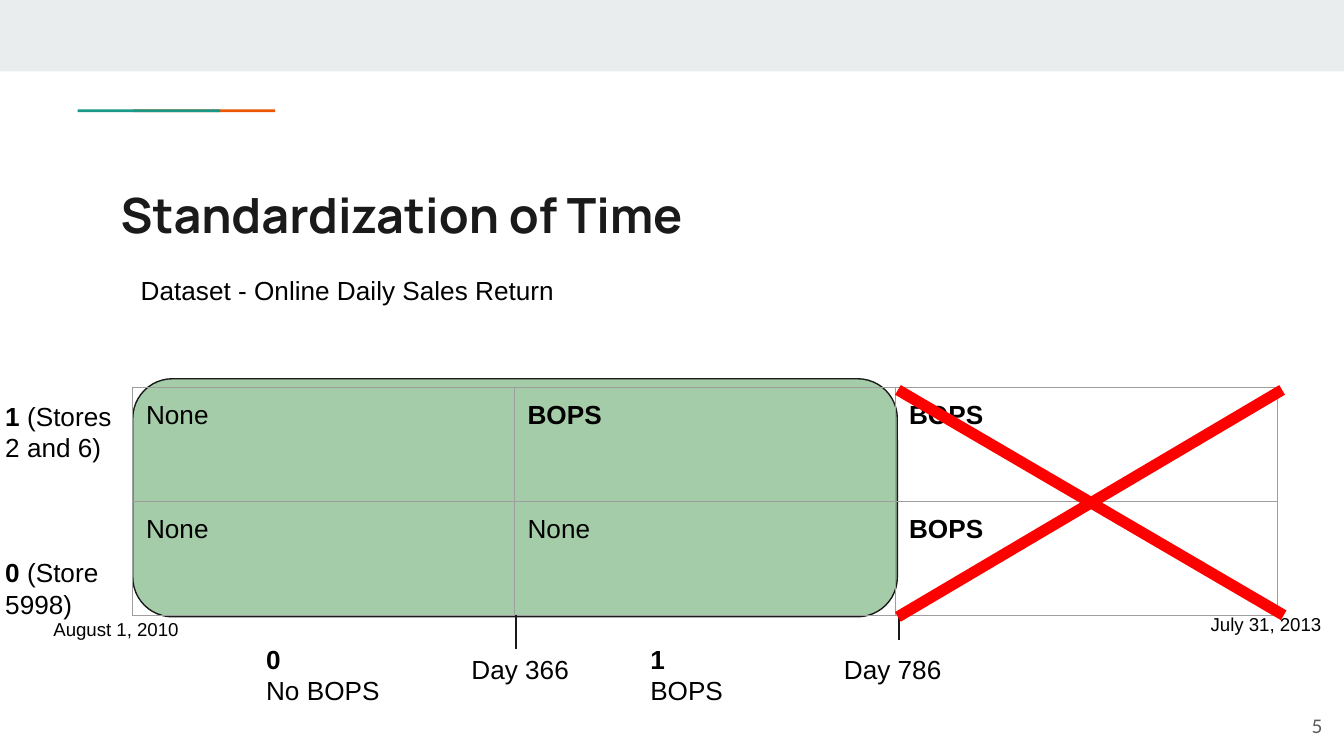
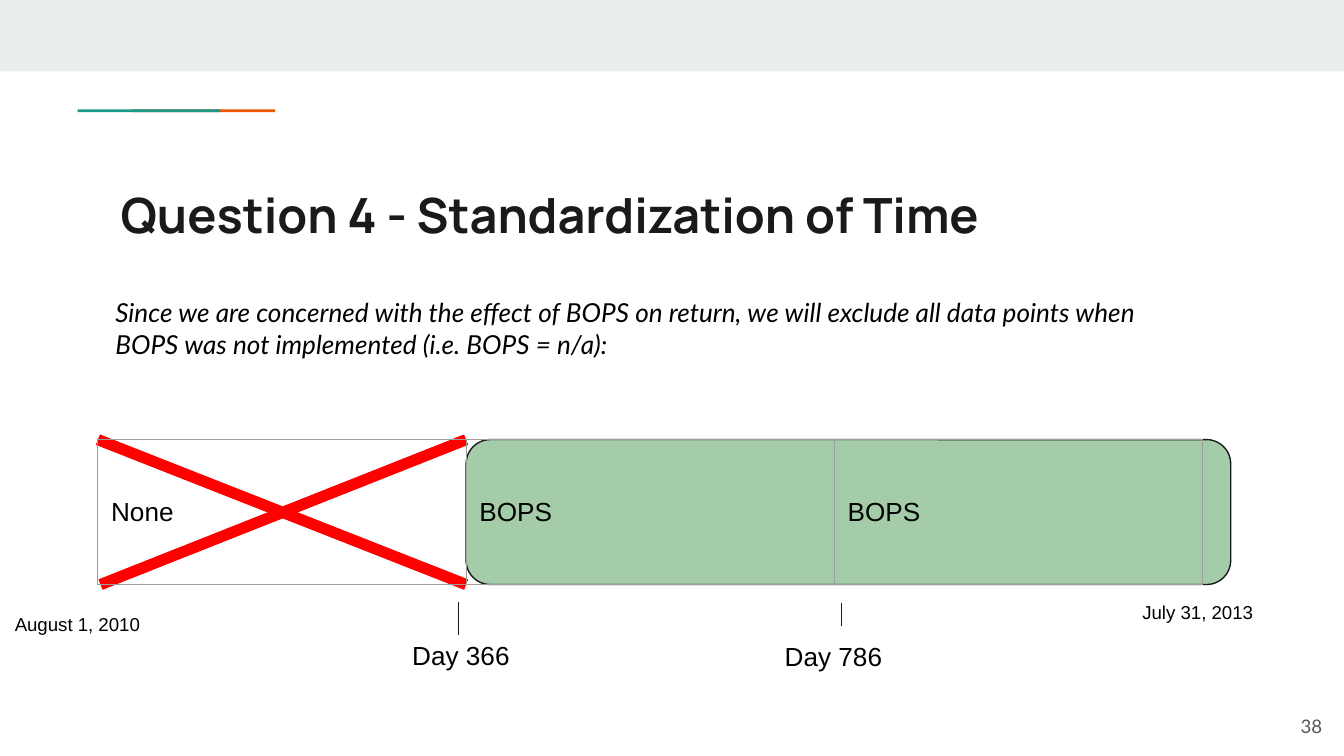
from lxml import etree
from pptx import Presentation
from pptx import util as u
from pptx.dml.color import RGBColor
from pptx.enum import shapes, text
from pptx.oxml import ns

Cm, Pt = u.Cm, u.Pt

BAND = RGBColor(0xE9, 0xED, 0xEE)
ORANGE = RGBColor(0xEB, 0x56, 0x00)
TEAL = RGBColor(0x1A, 0x99, 0x88)
KEPT_GREEN = RGBColor(0xA4, 0xCC, 0xA8)
INK = RGBColor(0x1A, 0x1A, 0x1A)
BLACK = RGBColor(0x00, 0x00, 0x00)
RED = RGBColor(0xFF, 0x00, 0x00)
GREY = RGBColor(0x59, 0x59, 0x59)
GRID = RGBColor(0x9E, 0x9E, 0x9E)
INSET = Cm(0.25)


# Text: a paragraph is a list of (wording, bold) runs
def add_runs(paragraph, runs, size=14, font="Arial", color=BLACK, italic=False):
    for wording, bold in runs:
        run = paragraph.add_run()
        run.text = wording
        run.font.size = Pt(size)
        run.font.name = font
        run.font.color.rgb = color
        run.font.bold = bold
        run.font.italic = italic


def add_text(slide, box, *paragraphs, gap=0, align=text.PP_ALIGN.LEFT,
             anchor=text.MSO_ANCHOR.TOP, **style):
    frame = slide.shapes.add_textbox(*map(Cm, box)).text_frame
    frame.word_wrap = True
    frame.vertical_anchor = anchor
    frame.margin_left = frame.margin_right = INSET
    frame.margin_top = frame.margin_bottom = INSET
    for i, runs in enumerate(paragraphs):
        paragraph = frame.add_paragraph() if i else frame.paragraphs[0]
        paragraph.alignment = align
        if i:
            paragraph.space_before = Pt(gap)
        add_runs(paragraph, runs, **style)


# Shapes and lines
def add_block(slide, kind, box, fill, outline=None):
    block = slide.shapes.add_shape(kind, *map(Cm, box))
    block.shadow.inherit = False
    block.fill.solid()
    block.fill.fore_color.rgb = fill
    if outline is None:
        block.line.fill.background()
    else:
        block.line.color.rgb = outline
        block.line.width = Pt(0.75)


def add_line(slide, start, end, color=INK, width=0.75):
    line = slide.shapes.add_connector(
        shapes.MSO_CONNECTOR.STRAIGHT, *map(Cm, start + end))
    line.line.color.rgb = color
    line.line.width = Pt(width)
    etree.SubElement(line._element.spPr, ns.qn("a:effectLst"))


def add_kept_period(slide, box):
    add_block(slide, shapes.MSO_SHAPE.ROUNDED_RECTANGLE, box, KEPT_GREEN, INK)


def add_cross(slide, *strokes):
    for start, end in strokes:
        add_line(slide, start, end, RED, 6)


# Timeline marks
def add_day(slide, day, tick_x, tick_top, tick_bottom, label_left):
    add_line(slide, (tick_x, tick_top), (tick_x, tick_bottom))
    add_text(slide, (label_left, tick_bottom - 0.17 if day == 366 else tick_bottom + 0.02,
                     3.56, 0.91), [(f"Day {day}", False)])


def add_dates(slide, first, last):
    for date, corner in (("August 1, 2010", first), ("July 31, 2013", last)):
        add_text(slide, corner + (4.42, 1.02), [(date, False)], size=10)


# Table of periods
def set_borders(cell):
    props = cell._tc.get_or_add_tcPr()
    for i, side in enumerate(("lnL", "lnR", "lnT", "lnB")):
        border = etree.Element(ns.qn(f"a:{side}"), w=str(Pt(0.75)))
        fill = etree.SubElement(border, ns.qn("a:solidFill"))
        etree.SubElement(fill, ns.qn("a:srgbClr"), val=str(GRID))
        props.insert(i, border)


def add_periods(slide, left, top, col_width, row_height, rows,
                anchor=text.MSO_ANCHOR.TOP):
    n_cols = len(rows[0])
    table = slide.shapes.add_table(
        len(rows), n_cols, Cm(left), Cm(top),
        Cm(col_width * n_cols), Cm(row_height * len(rows))).table
    table.first_row = table.horz_banding = False
    for column in table.columns:
        column.width = Cm(col_width)
    for r, row in enumerate(rows):
        table.rows[r].height = Cm(row_height)
        for c, run in enumerate(row):
            cell = table.cell(r, c)
            cell.fill.background()
            cell.vertical_anchor = anchor
            cell.margin_left = cell.margin_right = INSET
            cell.margin_top = cell.margin_bottom = INSET
            add_runs(cell.text_frame.paragraphs[0], [run])
            set_borders(cell)


# Shared frame: band, accent, title, page number
def add_slide(deck, title, number):
    slide = deck.slides.add_slide(deck.slide_layouts[6])
    rect = shapes.MSO_SHAPE.RECTANGLE
    add_block(slide, rect, (0, 0, 25.4, 1.35), BAND)
    add_block(slide, rect, (2.51, 2.07, 2.69, 0.05), ORANGE)
    add_block(slide, rect, (1.47, 2.07, 2.69, 0.05), TEAL)
    add_text(slide, (2.03, 3.25, 21.36, 3.48), [(title, True)],
             size=26, font="Manrope", color=INK)
    add_text(slide, (23.72, 13.18, 1.52, 1.09), [(str(number), False)],
             size=10, font="Lato", color=GREY,
             align=text.PP_ALIGN.RIGHT, anchor=text.MSO_ANCHOR.MIDDLE)
    return slide


def build_dataset(deck):
    slide = add_slide(deck, "Standardization of Time", 5)
    add_kept_period(slide, (2.51, 7.16, 14.45, 4.5))
    add_text(slide, (2.41, 4.93, 21.89, 6.15),
             [("Dataset - Online Daily Sales Return", False)])
    none, bops = ("None", False), ("BOPS", True)
    add_periods(slide, 2.51, 7.32, 7.21, 2.16,
                [[none, bops, bops], [none, none, bops]])
    # Store groups
    add_text(slide, (-0.15, 7.32, 2.69, 5.99),
             [("1 ", True), ("(Stores 2 and 6)", False)],
             [("0 ", True), ("(Store 5998)", False)], gap=50)
    # Time axis
    add_day(slide, 366, 9.75, 11.63, 12.27, 8.66)
    add_day(slide, 786, 16.99, 11.66, 12.09, 15.7)
    add_cross(slide, ((16.97, 7.37), (24.26, 11.63)),
              ((24.23, 7.37), (16.97, 11.66)))
    add_dates(slide, (0.76, 11.46), (22.63, 11.38))
    # Period codes
    add_text(slide, (4.78, 11.91, 3.35, 0.64), [("0", True)], [("No BOPS", False)])
    add_text(slide, (12.04, 11.91, 2.11, 0.91), [("1 ", True), ("BOPS", False)])


def build_question(deck):
    slide = add_slide(deck, "Question 4 - Standardization of Time", 38)
    add_kept_period(slide, (8.81, 8.31, 14.45, 2.74))
    # Time axis
    add_day(slide, 366, 8.66, 11.38, 12.01, 7.54)
    add_day(slide, 786, 15.9, 11.4, 11.84, 14.58)
    add_cross(slide, ((1.85, 8.31), (8.81, 11.05)),
              ((8.81, 8.31), (1.9, 11.05)))
    add_dates(slide, (0.03, 11.38), (21.34, 11.15))
    add_periods(slide, 1.85, 8.31, 6.96, 2.74,
                [[("None", False), ("BOPS", False), ("BOPS", False)]],
                anchor=text.MSO_ANCHOR.MIDDLE)
    # Reasoning
    add_text(slide, (1.93, 5.36, 20.19, 1.78),
             [("Since we are concerned with the effect of BOPS on return, we will "
               "exclude all data points when BOPS was not implemented "
               "(i.e. BOPS = n/a):", False)], font="Lato", italic=True)


def main():
    deck = Presentation()
    deck.slide_width, deck.slide_height = Cm(25.4), Cm(14.29)
    build_dataset(deck)
    build_question(deck)
    deck.save("out.pptx")


if __name__ == "__main__":
    main()
